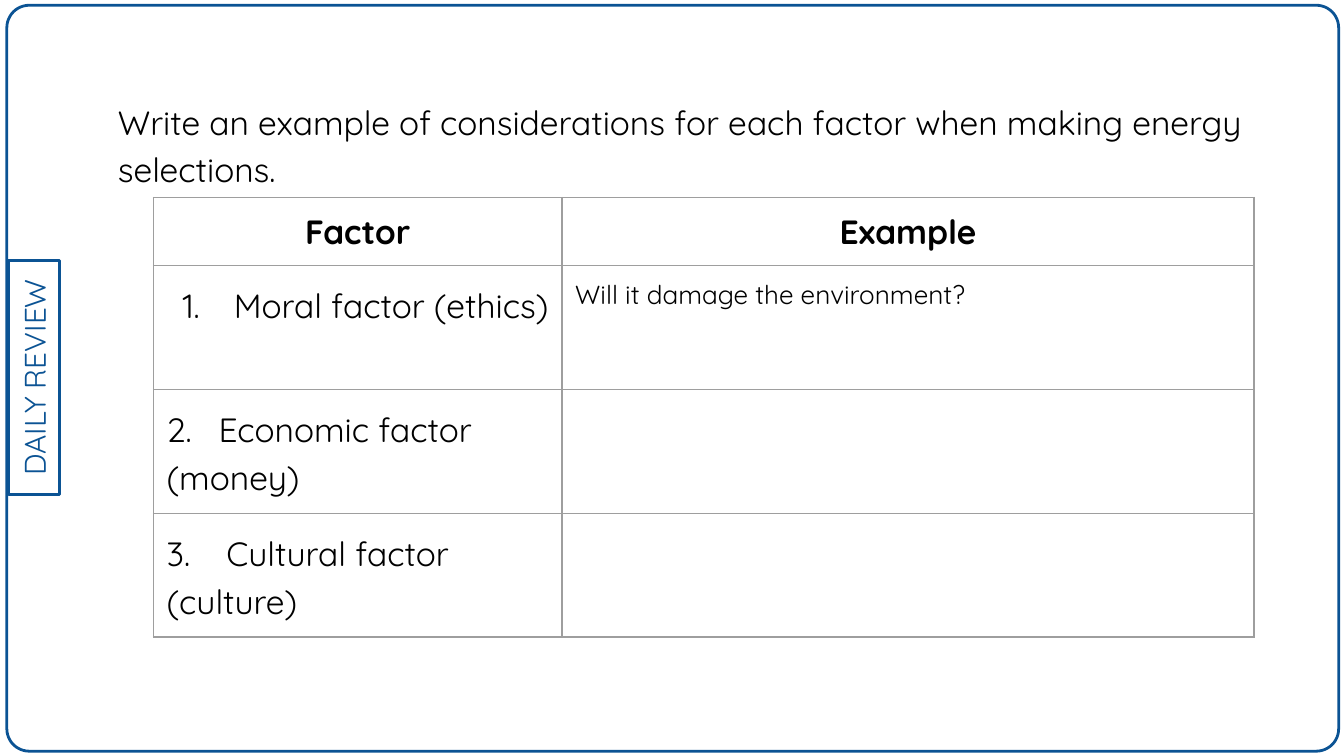
from lxml import etree
from pptx import Presentation
from pptx.dml.color import RGBColor
from pptx.enum.shapes import MSO_SHAPE
from pptx.enum.text import MSO_ANCHOR, PP_ALIGN
from pptx.oxml.ns import qn
from pptx.util import Cm, Pt

ROUND, RECT = MSO_SHAPE.ROUNDED_RECTANGLE, MSO_SHAPE.RECTANGLE
TOP, MIDDLE = MSO_ANCHOR.TOP, MSO_ANCHOR.MIDDLE
LEFT, CENTER = PP_ALIGN.LEFT, PP_ALIGN.CENTER
FONT = "Quicksand"
BLUE, BLACK, GRAY = "0B5394", "000000", "9E9E9E"
PAD = Cm(0.25)
COLS = [7.72, 13.08]
ROWS = [1.29, 2.34, 2.34, 2.34]


def color(code):
    return RGBColor.from_string(code)


def write(frame, text, size, align=LEFT, bold=False, ink=BLACK, space=1.0):
    frame.text = text
    para = frame.paragraphs[0]
    para.alignment = align
    para.line_spacing = space
    for run in para.runs:
        font = run.font
        font.name, font.size, font.bold = FONT, Pt(size), bold
        font.color.rgb = color(ink)
    return para


def pad(frame, anchor):
    frame.margin_left = frame.margin_right = PAD
    frame.margin_top = frame.margin_bottom = PAD
    frame.vertical_anchor = anchor


def add_frame(slide, kind, left, top, width, height):
    """Add an unfilled shape with a blue outline."""
    shape = slide.shapes.add_shape(kind, Cm(left), Cm(top), Cm(width), Cm(height))
    shape.shadow.inherit = False
    shape.fill.background()
    shape.line.color.rgb = color(BLUE)
    shape.line.width = Pt(1.5)
    return shape


def add_label(slide, text):
    label = add_frame(slide, RECT, -1.57, 6.65, 4.42, 0.97)
    label.rotation = 270
    pad(label.text_frame, MIDDLE)
    write(label.text_frame, text, 16, CENTER, ink=BLUE)


def add_prompt(slide, text):
    box = slide.shapes.add_textbox(Cm(1.98), Cm(1.57), Cm(22.07), Cm(11.38))
    box.text_frame.word_wrap = True
    pad(box.text_frame, TOP)
    write(box.text_frame, text, 18, space=1.15)


def set_border(cell):
    props = cell._tc.get_or_add_tcPr()
    for side in ("lnL", "lnR", "lnT", "lnB"):
        line = etree.SubElement(props, qn(f"a:{side}"), w=str(Pt(0.75)))
        fill = etree.SubElement(line, qn("a:solidFill"))
        etree.SubElement(fill, qn("a:srgbClr"), val=GRAY)


def set_number(para):
    """Number the paragraph automatically, with a hanging indent."""
    props = para._p.get_or_add_pPr()
    props.set("marL", str(Cm(1.27)))
    props.set("indent", str(Cm(-0.97)))
    tint = etree.SubElement(props, qn("a:buClr"))
    etree.SubElement(tint, qn("a:srgbClr"), val=BLACK)
    etree.SubElement(props, qn("a:buFont"), typeface=FONT)
    etree.SubElement(props, qn("a:buAutoNum"), type="arabicPeriod")


def set_tab(para, stop):
    tabs = etree.SubElement(para._p.get_or_add_pPr(), qn("a:tabLst"))
    etree.SubElement(tabs, qn("a:tab"), pos=str(Cm(stop)), algn="l")


def add_grid(slide):
    table = slide.shapes.add_table(
        len(ROWS), len(COLS), Cm(2.9), Cm(3.73), Cm(sum(COLS)), Cm(sum(ROWS))
    ).table
    table.first_row = table.horz_banding = False
    for col, width in zip(table.columns, COLS):
        col.width = Cm(width)
    for row, height in zip(table.rows, ROWS):
        row.height = Cm(height)
    for cell in table.iter_cells():
        set_border(cell)
        cell.fill.background()
        pad(cell, TOP)
    return table


def fill_grid(table):
    for col, head in enumerate(["Factor", "Example"]):
        write(table.cell(0, col).text_frame, head, 18, CENTER, bold=True)
    factors = ["Moral factor (ethics)", "2.\tEconomic factor (money)",
               "3.\tCultural factor (culture)"]
    paras = [write(table.cell(row, 0).text_frame, text, 18, space=1.15)
             for row, text in enumerate(factors, 1)]
    set_number(paras[0])
    set_tab(paras[1], 0.98)
    set_tab(paras[2], 1.13)
    write(table.cell(1, 1).text_frame, "Will it damage the environment?", 14)


def main():
    deck = Presentation()
    deck.slide_width, deck.slide_height = Cm(25.4), Cm(14.29)
    slide = deck.slides.add_slide(deck.slide_layouts[6])
    border = add_frame(slide, ROUND, 0.13, 0.1, 25.17, 14.1)
    border.adjustments[0] = 0.03
    add_label(slide, "DAILY REVIEW")
    add_prompt(slide, "Write an example of considerations for each factor "
                      "when making energy selections.")
    fill_grid(add_grid(slide))
    deck.save("out.pptx")


if __name__ == "__main__":
    main()
